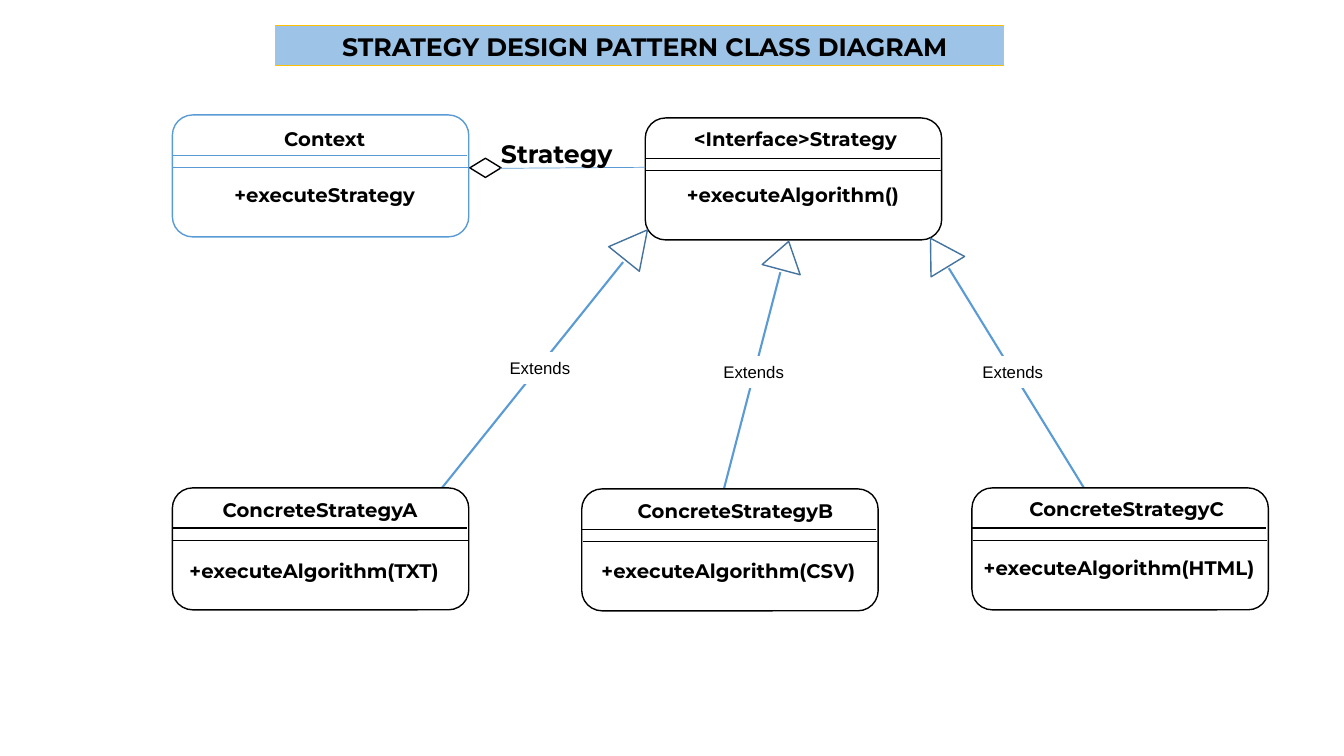
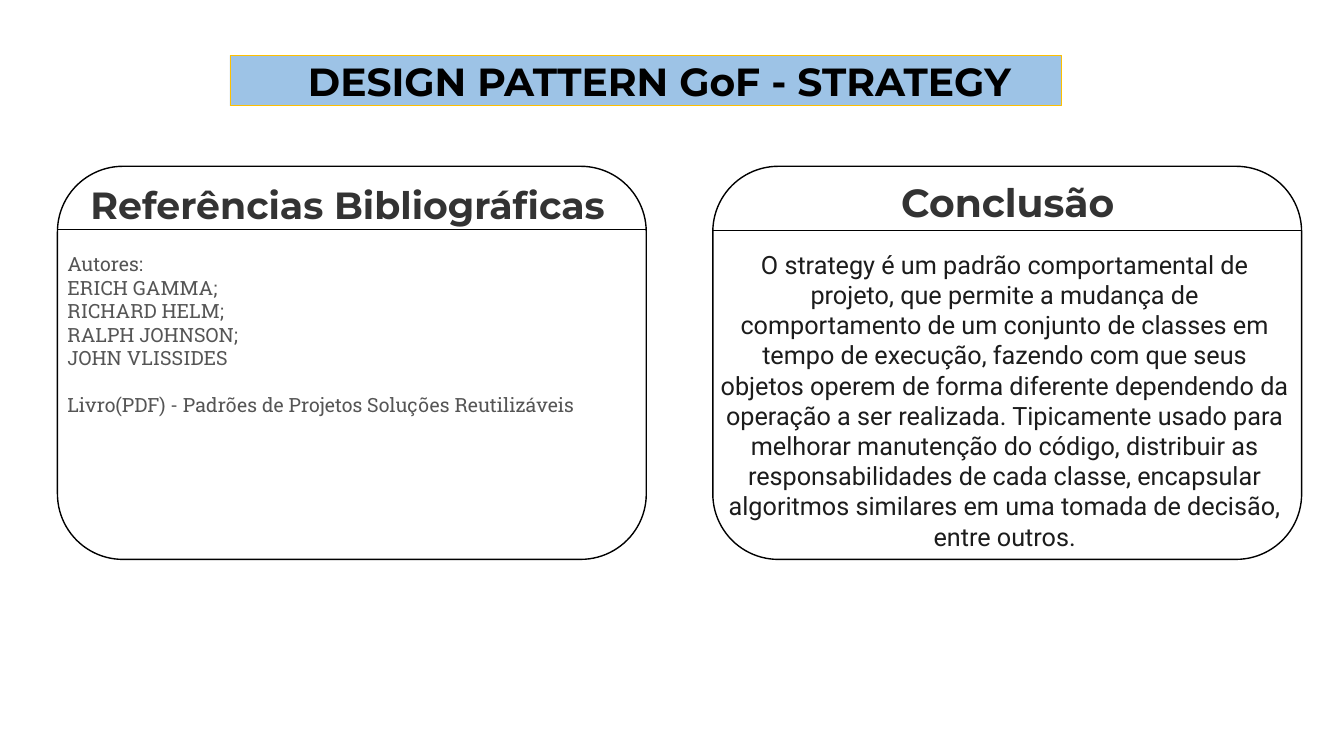
import pptx
import pptx.util
import pptx.dml.color
import pptx.enum.shapes
import pptx.enum.text
import pptx.oxml
import pptx.oxml.ns

Inches, Pt = pptx.util.Inches, pptx.util.Pt
RGBColor = pptx.dml.color.RGBColor
SHAPE = pptx.enum.shapes.MSO_SHAPE
CENTER = pptx.enum.text.PP_ALIGN.CENTER
LEFT = pptx.enum.text.PP_ALIGN.LEFT

# Colours and fonts
BLACK = RGBColor(0x00, 0x00, 0x00)
WHITE = RGBColor(0xFF, 0xFF, 0xFF)
BAND = RGBColor(0x9D, 0xC3, 0xE6)
GOLD = RGBColor(0xFF, 0xC0, 0x00)
BLUE = RGBColor(0x5B, 0x9B, 0xD5)
DARK_BLUE = RGBColor(0x43, 0x73, 0x9E)
HEADING = RGBColor(0x33, 0x33, 0x33)
REFERENCE = RGBColor(0x55, 0x55, 0x55)
BODY = RGBColor(0x1C, 0x1C, 0x1C)
TITLE_FONT = "Montserrat"

# Content: title, band box, text box, size
DIAGRAM_TITLE = ("STRATEGY DESIGN PATTERN CLASS DIAGRAM",
                 (2.73, 0.25, 7.22, 0.4), (1.68, 0.26, 9.43, 0.4), 18)
SUMMARY_TITLE = ("DESIGN PATTERN GoF - STRATEGY",
                 (2.28, 0.55, 8.25, 0.5), (2.49, 0.52, 8.1, 0.57), 28)

# Class: left, top, line colour, (name, text box), (method, text box)
CONTEXT = (1.71, 1.14, BLUE, ("Context", (1.81, 1.21, 2.82, 0.34)),
           ("+executeStrategy", (2.15, 1.77, 2.14, 0.34)))
INTERFACE = (6.4, 1.17, BLACK, ("<Interface>Strategy", (6.43, 1.21, 2.92, 0.34)),
             ("+executeAlgorithm()", (6.46, 1.77, 2.81, 0.57)))
CONCRETE_CLASSES = [
    (1.71, 4.84, BLACK, ("ConcreteStrategyA", (1.77, 4.89, 2.81, 0.57)),
     ("+executeAlgorithm(TXT)", (1.71, 5.5, 2.81, 0.57))),
    (5.77, 4.85, BLACK, ("ConcreteStrategyB", (5.89, 4.9, 2.81, 0.57)),
     ("+executeAlgorithm(CSV)", (5.81, 5.5, 2.83, 0.57))),
    (9.64, 4.84, BLACK, ("ConcreteStrategyC", (9.77, 4.88, 2.81, 0.57)),
     ("+executeAlgorithm(HTML)", (9.6, 5.47, 3, 0.57))),
]
# Inheritance: arrowhead box, rotation, line start, line end, label corner
INHERITANCE = [
    ((6.11, 2.24, 0.39, 0.37), 38.8, (6.18, 2.6), (4.36, 4.87), (5.03, 3.5)),
    ((7.59, 2.39, 0.39, 0.29), 15, (7.74, 2.7), (7.17, 4.89), (7.15, 3.54)),
    ((9.12, 2.34, 0.39, 0.33), 328.7, (9.41, 2.66), (10.75, 4.84), (9.72, 3.54)),
]
# Panel: left, divider top, heading, heading box, heading size
PANELS = [
    (0.57, 2.28, "Referências Bibliográficas ", (0.58, 1.75, 5.84, 0.57), 27),
    (7.07, 2.29, "Conclusão", (7.22, 1.72, 5.55, 0.57), 28),
]
REFERENCES = ["Autores: ", "ERICH GAMMA;  ", "RICHARD HELM; ", "RALPH JOHNSON; ",
              "JOHN VLISSIDES",
              "Livro(PDF) - Padrões de Projetos Soluções Reutilizáveis"]
CONCLUSION = (
    "O strategy é um padrão comportamental de projeto, que permite a mudança de "
    "comportamento de um conjunto de classes em tempo de execução, fazendo com que "
    "seus objetos operem de forma diferente dependendo da operação a ser realizada. "
    "Tipicamente usado para melhorar manutenção do código, distribuir as "
    "responsabilidades de cada classe, encapsular algoritmos similares em uma tomada "
    "de decisão, entre outros.")

CLASS_SIZE = (2.94, 1.21)
CLASS_RULES = [(0, 0.4), (0.01, 0.52)]
PANEL_TOP, PANEL_SIZE = 1.65, (5.84, 3.9)


# Building blocks
def add_box(slide, kind, box, line, fill=WHITE, weight=1, rotation=0):
    shape = slide.shapes.add_shape(kind, *map(Inches, box))
    shape.shadow.inherit = False
    shape.fill.solid()
    shape.fill.fore_color.rgb = fill
    shape.line.color.rgb = line
    shape.line.width = Pt(weight)
    shape.rotation = rotation


def add_line(slide, start, end, color, weight=1):
    line = slide.shapes.add_connector(
        pptx.enum.shapes.MSO_CONNECTOR.STRAIGHT, *map(Inches, start + end))
    line.line.color.rgb = color
    line.line.width = Pt(weight)
    properties = line._element.spPr
    properties.append(pptx.oxml.parse_xml(
        "<a:effectLst %s/>" % pptx.oxml.ns.nsdecls("a")))


def add_text(slide, lines, box, size, font=TITLE_FONT, color=BLACK, bold=True,
             align=CENTER, wrap=True):
    frame = slide.shapes.add_textbox(*map(Inches, box)).text_frame
    frame.word_wrap = wrap
    frame.text = "\n".join(lines)
    for paragraph in frame.paragraphs:
        paragraph.alignment = align
        paragraph.font.name = font
        paragraph.font.size = Pt(size)
        paragraph.font.bold = bold
        paragraph.font.color.rgb = color
    return frame


def add_title(slide, title):
    text, band, box, size = title
    add_box(slide, SHAPE.RECTANGLE, band, GOLD, BAND, 0.5)
    add_text(slide, [text], box, size)


def add_class(slide, left, top, color, *labels):
    width, height = CLASS_SIZE
    add_box(slide, SHAPE.ROUNDED_RECTANGLE, (left, top, width, height), color)
    for indent, drop in CLASS_RULES:
        start = left + indent
        add_line(slide, (start, top + drop), (start + 2.92, top + drop), color)
    for text, box in labels:
        add_text(slide, [text], box, 14)


presentation = pptx.Presentation()
presentation.slide_width, presentation.slide_height = Inches(13.33), Inches(7.5)
blank = presentation.slide_layouts[6]

# Slide 1: class diagram
diagram = presentation.slides.add_slide(blank)
add_title(diagram, DIAGRAM_TITLE)
add_class(diagram, *INTERFACE)
add_class(diagram, *CONTEXT)

# Aggregation between context and interface
add_box(diagram, SHAPE.FLOWCHART_DECISION, (4.66, 1.57, 0.31, 0.19), BLACK)
add_line(diagram, (4.96, 1.67), (6.4, 1.66), BLUE, 0.5)
add_text(diagram, ["Strategy"], (4.87, 1.32, 1.39, 0.4), 18, align=LEFT, wrap=False)

# Inheritance arrows with their labels
for head, rotation, start, end, (left, top) in INHERITANCE:
    add_box(diagram, SHAPE.ISOSCELES_TRIANGLE, head, DARK_BLUE, rotation=rotation)
    add_line(diagram, start, end, BLUE, 1.5)
    add_box(diagram, SHAPE.RECTANGLE, (left, top, 0.64, 0.3), WHITE)
    add_text(diagram, ["Extends"], (left - 0.08, top, 0.81, 0.3), 12, "Arial",
             bold=False, wrap=False)
for concrete_class in CONCRETE_CLASSES:
    add_class(diagram, *concrete_class)

# Slide 2: references and conclusion
summary = presentation.slides.add_slide(blank)
add_title(summary, SUMMARY_TITLE)
for left, divider, heading, box, size in PANELS:
    add_box(summary, SHAPE.ROUNDED_RECTANGLE, (left, PANEL_TOP) + PANEL_SIZE, BLACK)
    add_line(summary, (left, divider), (left + PANEL_SIZE[0], divider), BLACK, 0.5)
    add_text(summary, [heading], box, size, color=HEADING)
add_text(summary, [CONCLUSION], (7.03, 2.42, 5.87, 3.13), 18, "Roboto", BODY, False)
references = add_text(summary, REFERENCES, (0.57, 2.45, 5.81, 1.75), 14,
                      "Roboto Slab", REFERENCE, False, LEFT)
references.paragraphs[-1].space_before = Pt(16.8)

presentation.save("out.pptx")
